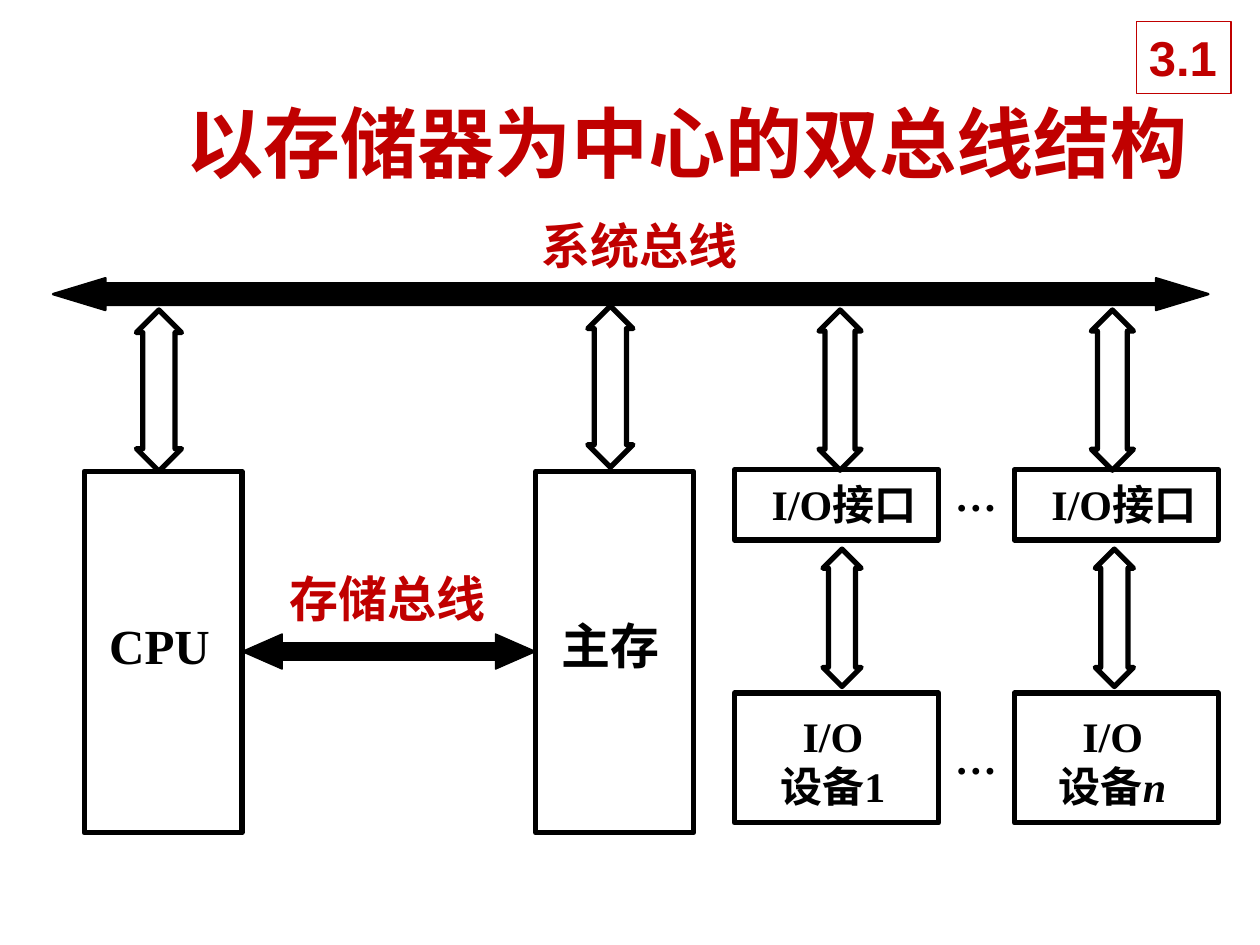
"""Build a slide showing a memory-centred dual-bus computer structure."""
from lxml.etree import SubElement
from pptx import Presentation
from pptx.dml.color import RGBColor
from pptx.enum.shapes import MSO_SHAPE
from pptx.enum.text import MSO_ANCHOR, PP_ALIGN
from pptx.oxml.ns import qn
from pptx.util import Cm, Pt

COLORS = {"ink": "000000", "accent": "C00000", "paper": "FFFFFF"}
SERIF, SANS, CHINESE = "Times New Roman", "Arial", "Noto Sans CJK SC"


class Diagram:
    def __init__(self, slide):
        self.slide = slide

    def color(self, name):
        return RGBColor.from_string(COLORS[name])

    def set_text(self, shape, lines, size, color="ink", font=SERIF, align=PP_ALIGN.LEFT,
                 anchor=MSO_ANCHOR.TOP, insets=(0.25, 0.13, 0.25, 0.13), wrap=True):
        frame = shape.text_frame
        frame.word_wrap = wrap
        frame.vertical_anchor = anchor
        frame.margin_left, frame.margin_top, frame.margin_right, frame.margin_bottom = map(Cm, insets)
        frame.text = "\n".join(lines)
        for paragraph in frame.paragraphs:
            paragraph.alignment = align
            paragraph.font.name = font
            paragraph.font.size = Pt(size)
            paragraph.font.bold = True
            paragraph.font.color.rgb = self.color(color)
            properties = paragraph._p.pPr.find(qn("a:defRPr"))
            SubElement(properties, qn("a:ea")).set("typeface", CHINESE)
        return frame

    def title(self, text, left, top, width, height):
        shape = self.slide.shapes.title
        shape.left, shape.top, shape.width, shape.height = map(Cm, (left, top, width, height))
        self.set_text(shape, [text], 44, "accent", CHINESE, anchor=MSO_ANCHOR.MIDDLE)

    def label(self, text, left, top, width, height, size=28, **style):
        shape = self.slide.shapes.add_textbox(*map(Cm, (left, top, width, height)))
        self.set_text(shape, [text], size, **style)

    def shape(self, kind, left, top, width, height, fill=None, line="ink", weight=3):
        shape = self.slide.shapes.add_shape(kind, *map(Cm, (left, top, width, height)))
        shape.shadow.inherit = False
        if fill:
            shape.fill.solid()
            shape.fill.fore_color.rgb = self.color(fill)
        else:
            shape.fill.background()
        shape.line.color.rgb = self.color(line)
        shape.line.width = Pt(weight)
        return shape

    def box(self, lines, left, top, width, height, size, insets):
        shape = self.shape(MSO_SHAPE.RECTANGLE, left, top, width, height)
        return self.set_text(shape, lines, size, align=PP_ALIGN.CENTER,
                             anchor=MSO_ANCHOR.MIDDLE, insets=insets)

    def arrow(self, kind, left, top, width, height, shaft, head, **style):
        shape = self.shape(kind, left, top, width, height, **style)
        shape.adjustments[0] = shaft
        shape.adjustments[1] = head

    def link(self, left, top, width, height):
        self.arrow(MSO_SHAPE.UP_DOWN_ARROW, left, top, width, height, 0.5, 0.71)

    def badge(self, text, left, top, width, height):
        shape = self.shape(MSO_SHAPE.RECTANGLE, left, top, width, height, "paper", "accent", 0.75)
        self.set_text(shape, [text], 28, "accent", SANS, wrap=False)


def main():
    presentation = Presentation()
    presentation.slide_width, presentation.slide_height = Cm(25.4), Cm(19.05)
    diagram = Diagram(presentation.slides.add_slide(presentation.slide_layouts[5]))
    diagram.title("以存储器为中心的双总线结构", 3.51, 1.8, 21.39, 2.11)

    diagram.label("系统总线", 10.92, 4.34, 6.43, 1.19, color="accent", font=SANS,
                  insets=(0, 0, 0, 0))
    diagram.arrow(MSO_SHAPE.LEFT_RIGHT_ARROW, 1.07, 5.61, 23.29, 0.64, 0.68, 1.65,
                  fill="ink", weight=1.38)

    for name, left, link_top in (("CPU", 1.7, 6.25), ("主存", 10.8, 6.17)):
        diagram.box([name], left, 9.5, 3.18, 7.29, 28, insets=(0.1, 0.1, 0.25, 0.4))
        diagram.link(left + 1.05, link_top, 0.91, 3.25)

    for number, left, link_left in (("1", 14.81, 16.51), ("n", 20.45, 22.0)):
        diagram.box(["I/O接口"], left, 9.47, 4.11, 1.42, 24, insets=(0.4, 0.1, 0.1, 0.15))
        diagram.link(link_left, 6.25, 0.85, 3.23)
        device = diagram.box(["I/O", "设备"], left, 13.97, 4.11, 2.62, 24,
                             insets=(0.1, 0.2, 0.25, 0.1))
        run = device.paragraphs[1].add_run()
        run.text = number
        if number == "n":
            run.font.italic = True
        diagram.link(link_left + 0.08, 11.07, 0.77, 2.77)

    for top in (9.47, 14.76):
        diagram.label("…", 19.25, top, 0.86, 1.02, 24, insets=(0, 0, 0, 0), wrap=False)

    diagram.arrow(MSO_SHAPE.LEFT_RIGHT_ARROW, 4.88, 12.78, 5.92, 0.71, 0.5, 1.14,
                  fill="ink", weight=0.75)
    diagram.label("存储总线", 5.59, 11.33, 4.47, 1.45, color="accent", wrap=False)
    diagram.badge("3.1", 22.91, 0.43, 1.91, 1.45)
    presentation.save("out.pptx")


if __name__ == "__main__":
    main()
